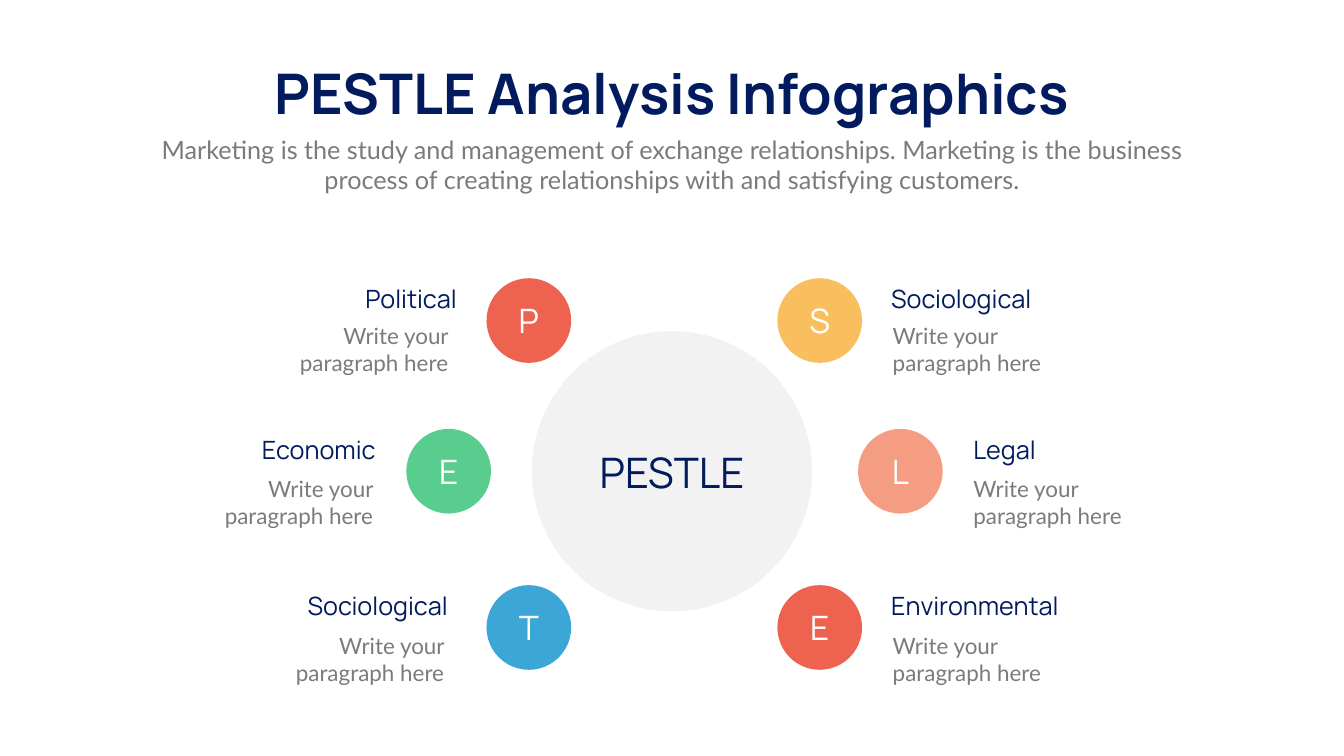
from dataclasses import dataclass

from pptx import Presentation
from pptx.dml.color import RGBColor
from pptx.enum.shapes import MSO_SHAPE
from pptx.enum.text import MSO_ANCHOR, MSO_AUTO_SIZE, PP_ALIGN
from pptx.util import Inches, Pt


@dataclass(frozen=True)
class Theme:
    """Colours, fonts and type sizes of the slide."""
    navy: str = "011B5E"
    grey: str = "7D797E"
    pale: str = "F2F2F2"
    white: str = "FFFFFF"
    red: str = "EE6250"
    green: str = "58CD8E"
    blue: str = "3CA7D7"
    gold: str = "F9BF5F"
    peach: str = "F59D83"
    head: str = "Manrope"
    body: str = "Lato"
    title: int = 80
    hub: int = 60
    letter: int = 48
    label: int = 36
    note: int = 32


class Deck:
    """Holds the theme and the current slide, and draws each element."""

    def __init__(self, prs, theme):
        """Add a slide with title and subtitle placeholders."""
        self.theme = theme
        self.slide = prs.slides.add_slide(prs.slide_layouts[0])

    def label(self, shape, text, size, face, color, align=PP_ALIGN.LEFT,
              bold=False, **frame):
        """Put formatted text in a shape."""
        box = shape.text_frame
        box.text = text
        form = {"word_wrap": True, "vertical_anchor": MSO_ANCHOR.TOP,
                "auto_size": MSO_AUTO_SIZE.SHAPE_TO_FIT_TEXT, **frame}
        for name, value in form.items():
            setattr(box, name, value)
        para = box.paragraphs[0]
        para.alignment = align
        para.space_before = Pt(0)
        font = para.runs[0].font
        for name, value in {"size": Pt(size), "name": face, "bold": bold}.items():
            setattr(font, name, value)
        font.color.rgb = RGBColor.from_string(color)

    def holder(self, index, place, *style, **frame):
        """Move and fill a placeholder."""
        shape = self.slide.placeholders[index]
        for name, value in zip(("left", "top", "width", "height"), place):
            setattr(shape, name, Inches(value))
        self.label(shape, *style, align=PP_ALIGN.CENTER, **frame)

    def text(self, place, *style):
        """Add a text box."""
        self.label(self.slide.shapes.add_textbox(*map(Inches, place)), *style)

    def disc(self, left, top, size, color, letter=None):
        """Add a circle, with a letter if given."""
        shape = self.slide.shapes.add_shape(
            MSO_SHAPE.OVAL, *map(Inches, (left, top, size, size)))
        shape.shadow.inherit = False
        shape.fill.solid()
        shape.fill.fore_color.rgb = RGBColor.from_string(color)
        shape.line.fill.background()
        if letter:
            look = self.theme
            self.label(shape, letter, look.letter, look.head, look.white,
                       PP_ALIGN.CENTER, vertical_anchor=MSO_ANCHOR.MIDDLE,
                       auto_size=MSO_AUTO_SIZE.NONE)

    def factor(self, row, letter, color, disc, name, span, note, align):
        """Add one factor: disc, label and note."""
        look = self.theme
        top, low = row
        left, width = span
        self.disc(disc, top, 1.68, color, letter)
        self.text((left, top + 0.06, width, 0.71), name,
                  look.label, look.head, look.navy, align)
        self.text((note, low, 3.21, 1.18), "Write your paragraph here",
                  look.note, look.body, look.grey, align)


def main():
    """Build and save the slide."""
    prs = Presentation()
    prs.slide_width, prs.slide_height = Inches(26.66), Inches(15)
    look = Theme()
    deck = Deck(prs, look)
    deck.holder(0, (4.96, 1.12, 16.74, 1.45), "PESTLE Analysis Infographics",
                look.title, look.head, look.navy, bold=True, word_wrap=False)
    deck.holder(1, (2.92, 2.61, 20.82, 1.31),
                "Marketing is the study and management of exchange relationships. "
                "Marketing is the business process of creating relationships with "
                "and satisfying customers.",
                look.label, look.body, look.grey)
    deck.disc(10.55, 6.57, 5.56, look.pale)
    deck.text((11.44, 8.8, 3.78, 1.11), "PESTLE",
              look.hub, look.head, look.navy, PP_ALIGN.CENTER)

    rows = ((5.52, 6.34), (8.51, 9.37), (11.61, 12.49))
    sides = {
        PP_ALIGN.RIGHT: (
            ("P", look.red, 9.65, "Political", (5.16, 4), 5.78),
            ("E", look.green, 8.06, "Economic", (4.29, 3.26), 4.29),
            ("T", look.blue, 9.65, "Sociological", (5.16, 3.82), 5.7)),
        PP_ALIGN.LEFT: (
            ("S", look.gold, 15.42, "Sociological", (17.58, 4), 17.61),
            ("L", look.peach, 17.02, "Legal", (19.21, 4.05), 19.21),
            ("E", look.red, 15.42, "Environmental", (17.58, 4.51), 17.61)),
    }
    for align, items in sides.items():
        for row, item in zip(rows, items):
            deck.factor(row, *item, align)
    prs.save("out.pptx")


if __name__ == "__main__":
    main()
